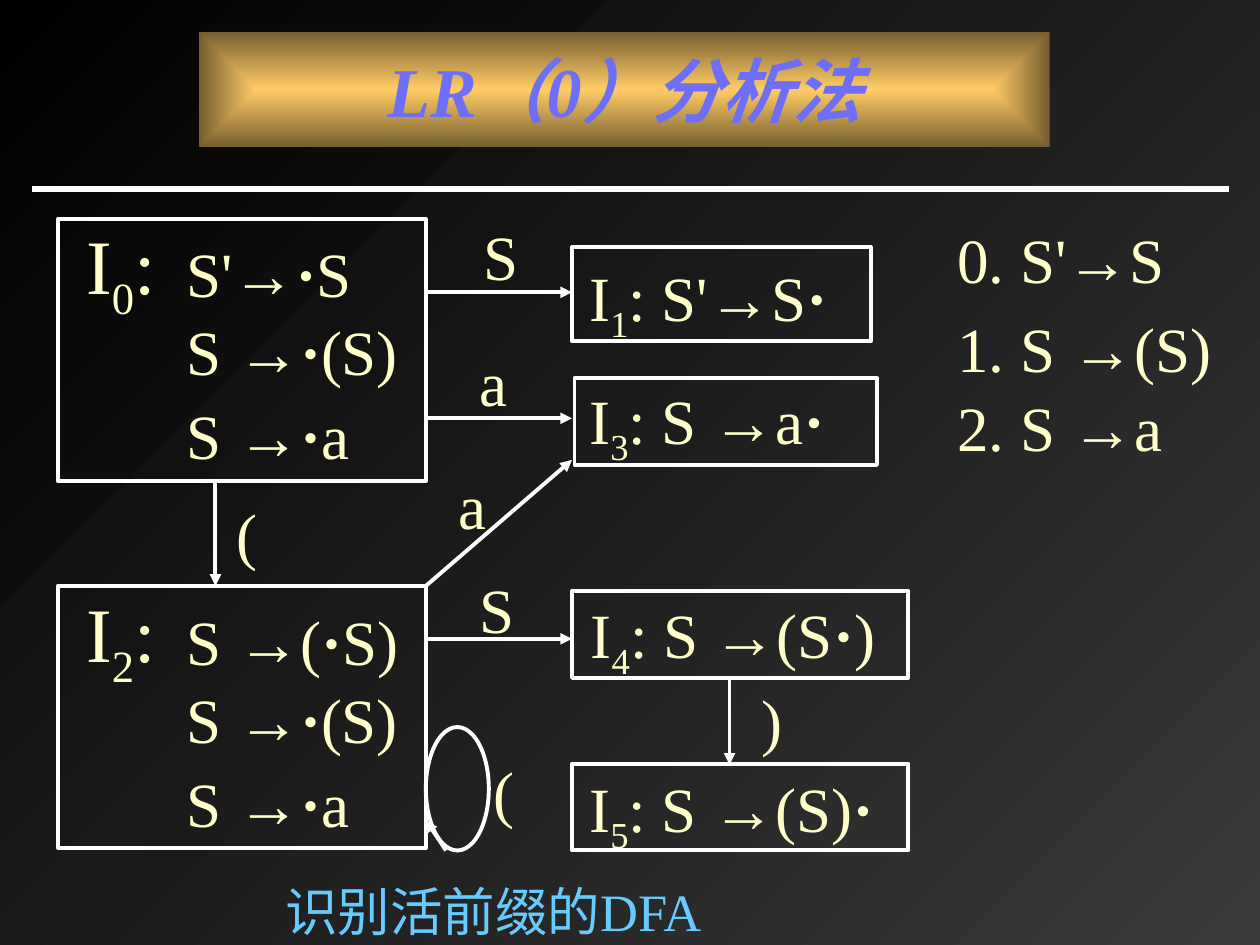
from lxml.etree import SubElement
from pptx import Presentation
from pptx.dml.color import RGBColor
from pptx.enum.shapes import MSO_CONNECTOR, MSO_SHAPE
from pptx.enum.text import MSO_ANCHOR, PP_ALIGN
from pptx.oxml import parse_xml
from pptx.oxml.ns import nsdecls, qn
from pptx.util import Inches, Pt

WHITE = RGBColor(0xFF, 0xFF, 0xFF)
CREAM = RGBColor(0xFF, 0xFF, 0xCC)
SKY = RGBColor(0x66, 0xCC, 0xFF)
VIOLET = RGBColor(0x6E, 0x6E, 0xF8)
GOLD = RGBColor(0xFF, 0xCC, 0x66)
BROWN = RGBColor(0x75, 0x5E, 0x2F)
GREY = RGBColor(0x3A, 0x3A, 0x3A)
BLACK = RGBColor(0, 0, 0)
LEFT, MID = PP_ALIGN.LEFT, PP_ALIGN.CENTER

deck = Presentation()
deck.slide_width, deck.slide_height = Inches(10), Inches(7.5)
slide = deck.slides.add_slide(deck.slide_layouts[6])
shapes = slide.shapes

back = slide.background.fill
back.gradient()
back.gradient_angle = 135
for stop, tone in zip(back.gradient_stops, (GREY, BLACK)):
    stop.color.rgb = tone


def write(box, text, size=36, color=CREAM, align=LEFT, **more):
    frame = box.text_frame
    style = {"word_wrap": True, "margin_left": Inches(0.1), "margin_right": Inches(0.1),
             "margin_top": Inches(0.08), "margin_bottom": Inches(0.05)}
    for key, value in style.items():
        setattr(frame, key, value)
    para = frame.paragraphs[0]
    para.alignment = align
    for part in text.split("|"):
        run = para.add_run()
        run.text = part
        look = {"name": "Times New Roman", "size": Pt(size), "bold": part == "·"} | more
        for key, value in look.items():
            setattr(run.font, key, value)
        run.font.color.rgb = color
        if part.isdigit():
            run._r.get_or_add_rPr().set("baseline", "-25000")


def link(x1, y1, x2, y2, width=2.25, head=True):
    line = shapes.add_connector(MSO_CONNECTOR.STRAIGHT, *map(Inches, (x1, y1, x2, y2)))
    line.line.color.rgb = WHITE
    line.line.width = Pt(width)
    props = line._element.spPr
    if head:
        SubElement(props.find(qn("a:ln")), qn("a:tailEnd"), type="triangle")
    SubElement(props, qn("a:effectLst"))


title = shapes.add_shape(MSO_SHAPE.RECTANGLE, *map(Inches, (1.58, 0.25, 6.75, 0.92)))
title.shadow.inherit = False
title.line.fill.background()
title.fill.gradient()
for stop, tone in zip(title.fill.gradient_stops, (GOLD, BROWN)):
    stop.color.rgb = tone
grad = title._element.spPr.find(qn("a:gradFill"))
grad.replace(grad.find(qn("a:lin")), parse_xml(
    f'<a:path {nsdecls("a")} path="rect">'
    '<a:fillToRect l="50000" t="50000" r="50000" b="50000"/></a:path>'))
write(title, "LR（0）分析法", 40, VIOLET, MID, bold=True, italic=True)
title.text_frame.margin_top = Inches(0.05)
title.text_frame.vertical_anchor = MSO_ANCHOR.MIDDLE
link(0.25, 1.5, 9.75, 1.5, 3, False)

RECT, OVAL = MSO_SHAPE.RECTANGLE, MSO_SHAPE.OVAL
frames = [
    (RECT, 0.46, 1.74, 2.92, 2.08), (RECT, 0.46, 4.65, 2.92, 2.08),
    (RECT, 4.54, 1.96, 2.37, 0.75), (RECT, 4.56, 3, 2.4, 0.69),
    (RECT, 4.54, 4.69, 2.67, 0.69), (RECT, 4.54, 6.06, 2.67, 0.69),
    (OVAL, 3.38, 5.77, 0.5, 0.98),
]
for kind, *place in frames:
    frame = shapes.add_shape(kind, *map(Inches, place))
    frame.shadow.inherit = False
    frame.fill.background()
    frame.line.color.rgb = WHITE
    frame.line.width = Pt(2.25)

arrows = [
    (3.38, 2.32, 4.54, 2.32), (3.38, 3.32, 4.54, 3.32),
    (1.71, 3.82, 1.71, 4.65), (3.54, 6.75, 3.38, 6.51),
    (3.38, 4.65, 4.54, 3.65), (3.38, 5.07, 4.54, 5.07),
    (5.79, 5.4, 5.79, 6.07),
]
for ends in arrows:
    link(*ends)

texts = []
states = [
    (1.65, "I|0|:", ("S'→|·|S", "S →|·|(S)", "S →|·|a")),
    (4.57, "I|2|:", ("S →(|·|S)", "S →|·|(S)", "S →|·|a")),
]
for top, name, items in states:
    texts.append((0.46, top, 1, 0.94, name, 44, CREAM, MID))
    for gap, item in zip((0.13, 0.75, 1.42), items):
        texts.append((1.38, top + gap, 2, 0.7, item))

goals = [
    (4.58, 1.97, "I|1|: S'→S|·"), (4.58, 2.95, "I|3|: S →a|·"),
    (4.59, 4.65, "I|4|: S →(S|·|)"), (4.58, 6.03, "I|5|: S →(S)|·"),
]
for left, top, text in goals:
    texts.append((left, top, 2.75, 0.79, text))

marks = [
    (3.71, 1.65, 0.54, "S"), (3.63, 2.65, 0.58, "a"), (1.71, 3.85, 0.5, "("),
    (3.79, 5.9, 0.42, "("), (3.46, 3.62, 0.58, "a"), (5.92, 5.33, 0.42, ")"),
    (3.71, 4.45, 0.42, "S"),
]
for left, top, width, text in marks:
    texts.append((left, top, width, 0.7, text, 36, CREAM, MID))

rules = [(1.67, "0. S'→S"), (2.38, "1. S →(S)"), (3, "2. S →a")]
for top, text in rules:
    texts.append((7.5, top, 2.42, 0.7, text))
texts.append((1.83, 6.9, 4.17, 0.6, "识别活前缀的DFA", 30, SKY, MID))

for left, top, width, height, *rest in texts:
    write(shapes.add_textbox(*map(Inches, (left, top, width, height))), *rest)

deck.save("out.pptx")
